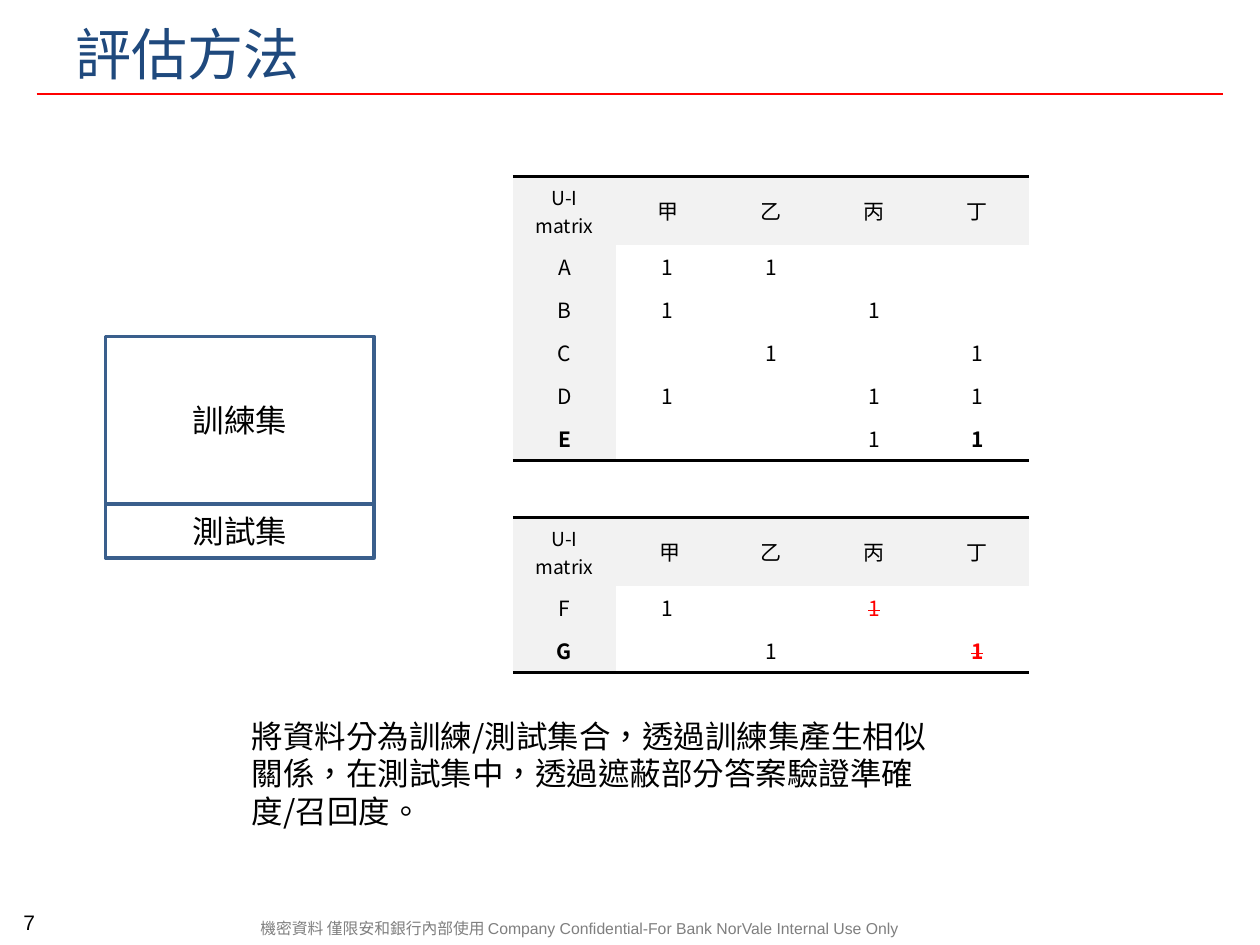
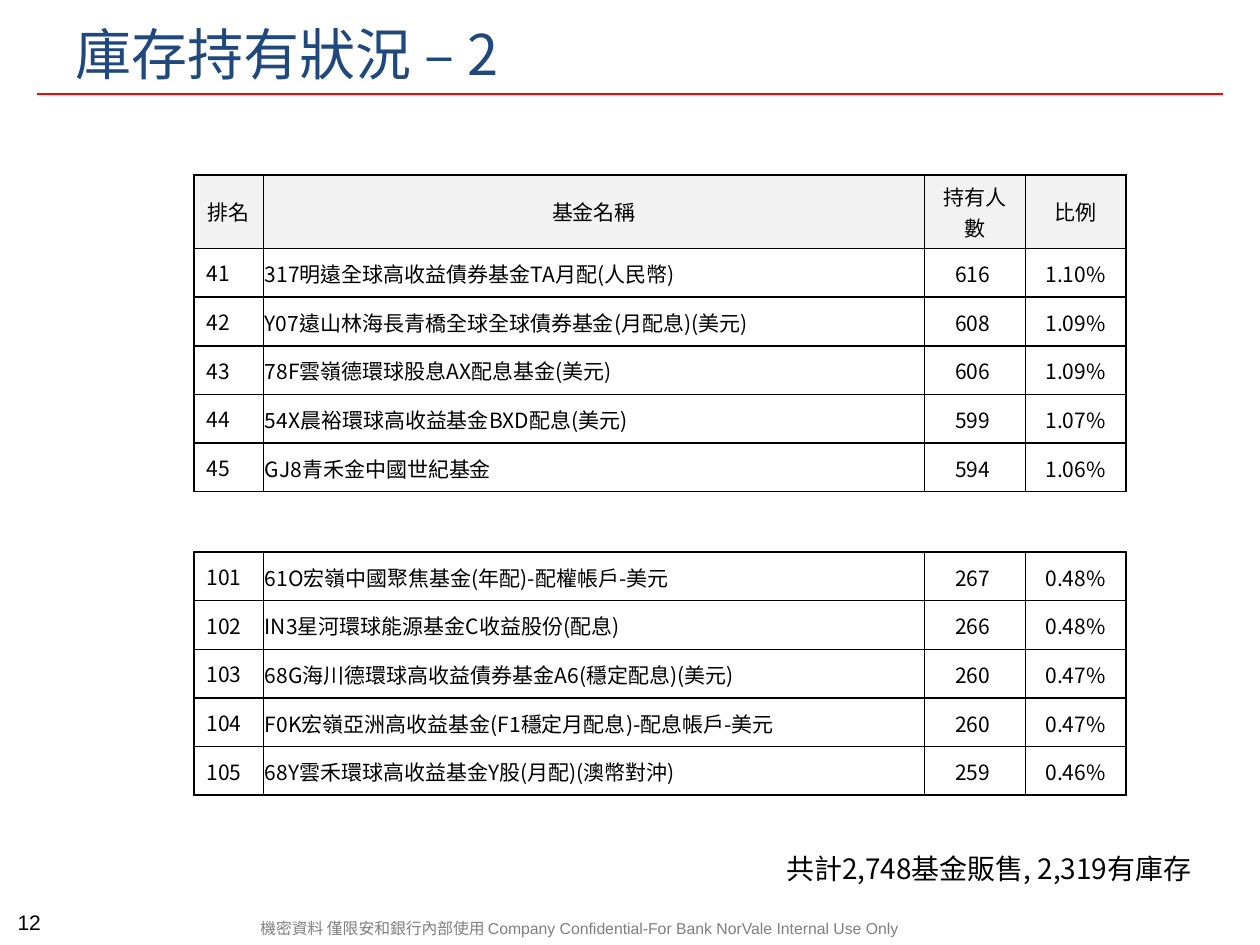
from lxml.etree import SubElement as Sub
from pptx import Presentation
from pptx.dml.color import RGBColor
from pptx.enum.shapes import MSO_CONNECTOR as Link, MSO_SHAPE as Kind
from pptx.enum.text import MSO_ANCHOR as Anchor, MSO_AUTO_SIZE as Auto, PP_ALIGN as Align
from pptx.oxml.ns import qn
from pptx.util import Cm, Pt

BLACK = RGBColor(0x00, 0x00, 0x00)
WHITE = RGBColor(0xFF, 0xFF, 0xFF)
RED = RGBColor(0xFF, 0x00, 0x00)
NAVY = RGBColor(0x1F, 0x49, 0x7D)
BLUE = RGBColor(0x3A, 0x5F, 0x8C)
GREY = RGBColor(0x7F, 0x7F, 0x7F)
PALE = RGBColor(0xF2, 0xF2, 0xF2)
SANS = "Noto Sans CJK SC"
PLAIN = "{2D5ABB26-0587-4C30-8999-92F81FD0307C}"
NOTE = "機密資料 僅限安和銀行內部使用 Company Confidential-For Bank NorVale Internal Use Only"


def write(frame, text, size, color=BLACK, align=Align.LEFT, name=SANS, space=None):
    para = frame.paragraphs[0]
    for key, val in {"alignment": align, "line_spacing": space}.items():
        setattr(para, key, val)
    if not text:
        Sub(para._p, qn("a:endParaRPr"), sz=str(size * 100))
        return
    run = para.add_run()
    run.text = text
    for key, val in {"size": Pt(size), "name": name}.items():
        setattr(run.font, key, val)
    run.font.color.rgb = color
    props = run.font._element
    props.set("lang", "zh-TW")
    Sub(props, qn("a:ea"), typeface=SANS)


def grid(slide, rows, spot, cols, highs, boxed, head):
    frame = slide.shapes.add_table(len(rows), len(cols), *map(Cm, spot),
                                   Cm(sum(cols)), Cm(sum(highs)))
    table = frame.table
    table._tbl.tblPr.find(qn("a:tableStyleId")).text = PLAIN
    for flag in ("first_row", "horz_banding"):
        setattr(table, flag, False)
    for col, wide in zip(table.columns, cols):
        col.width = Cm(wide)
    for row, high in zip(table.rows, highs):
        row.height = Cm(high)
    for r, row in enumerate(rows):
        for c, text in enumerate(row):
            cell = table.cell(r, c)
            top = head and r == 0
            cell.vertical_anchor = Anchor.MIDDLE
            edges = {"lnL": boxed, "lnR": boxed, "lnT": boxed or r == 0,
                     "lnB": boxed or r == len(rows) - 1}
            for tag, shown in edges.items():
                if shown:
                    edge = Sub(cell._tc.get_or_add_tcPr(), qn("a:" + tag),
                               w=str(Pt(1 if boxed else 2)))
                    Sub(Sub(edge, qn("a:solidFill")), qn("a:srgbClr"), val=str(BLACK))
            if boxed and not top:
                cell.fill.background()
            else:
                cell.fill.solid()
                cell.fill.fore_color.rgb = PALE if top or c == 0 else WHITE
            if boxed and c and not top:
                for side in ("left", "right", "top"):
                    setattr(cell, "margin_" + side, Cm(0.03))
                cell.margin_bottom = 0
            left = boxed and not top and c < 2
            write(cell.text_frame, text, 11 if text == "U-I matrix" else 12,
                  align=Align.LEFT if left else Align.CENTER)
    return table


deck = Presentation()
deck.slide_width, deck.slide_height = Cm(25.4), Cm(19.05)

pages = [
    ("評估方法", "7",
     "將資料分為訓練/測試集合，透過訓練集產生相似關係，在測試集中，透過遮蔽部分答案驗證準確度/召回度。",
     (4.83, 14.33, 14.68, 2.57), 18, 21.5),
    ("庫存持有狀況 – 2", "12", "共計2,748基金販售, 2,319有庫存",
     (15.6, 17.04, 9.8, 0.94), 16, None),
]
for head, page, body, spot, size, space in pages:
    slide = deck.slides.add_slide(deck.slide_layouts[5])
    title = slide.shapes.title
    place = {"left": 1.27, "top": 0.33, "width": 22.86, "height": 1.47}
    for key, val in place.items():
        setattr(title, key, Cm(val))
    title.text_frame.auto_size = Auto.NONE
    title.text_frame.vertical_anchor = Anchor.MIDDLE
    write(title.text_frame, head, 32, NAVY)

    rule = slide.shapes.add_connector(Link.STRAIGHT, Cm(0.74), Cm(1.9), Cm(24.66), Cm(1.9))
    rule.line.color.rgb = RED
    rule.line.width = Pt(1.25)
    Sub(rule._element.spPr, qn("a:effectLst"))

    texts = [
        ((5, 18.42, 14.48, 0.61), Anchor.MIDDLE, NOTE,
         {"size": 9, "color": GREY, "name": "Arial", "space": Pt(10)}),
        ((0.03, 18.34, 1.12, 0.63), Anchor.BOTTOM, page,
         {"size": 12, "align": Align.CENTER, "name": "Arial", "space": Pt(10.2)}),
        (spot, Anchor.TOP if space else Anchor.MIDDLE, body,
         {"size": size, "space": Pt(space) if space else None}),
    ]
    for where, anchor, text, form in texts:
        frame = slide.shapes.add_textbox(*map(Cm, where)).text_frame
        for key, val in {"word_wrap": True, "vertical_anchor": anchor}.items():
            setattr(frame, key, val)
        write(frame, text, **form)

split, funds = deck.slides

for text, top, high in (("訓練集", 6.78, 3.38), ("測試集", 10.16, 1.09)):
    box = split.shapes.add_shape(Kind.RECTANGLE, Cm(2.13), Cm(top), Cm(5.41), Cm(high))
    box.shadow.inherit = False
    box.fill.background()
    box.line.color.rgb = BLUE
    box.line.width = Pt(2)
    box.text_frame.vertical_anchor = Anchor.MIDDLE
    write(box.text_frame, text, 18, align=Align.CENTER)

train = [
    ("U-I matrix", "甲", "乙", "丙", "丁"),
    ("A", "1", "1", "", ""),
    ("B", "1", "", "1", ""),
    ("C", "", "1", "", "1"),
    ("D", "1", "", "1", "1"),
    ("E", "", "", "1", "1"),
]
test = [
    ("U-I matrix", " 甲", "乙", "丙", "丁"),
    ("F", "1", "", "1", ""),
    ("G", "", "1", "", "1"),
]
for rows, top, masked in ((train, 3.56, ()), (test, 10.44, ((1, 3), (2, 4)))):
    table = grid(split, rows, (10.34, top), [2.08] * 5,
                 [1.37] + [0.87] * (len(rows) - 1), False, True)
    for col in (0, 4):
        table.cell(len(rows) - 1, col).text_frame.paragraphs[0].runs[0].font.bold = True
    for spot in masked:
        font = table.cell(*spot).text_frame.paragraphs[0].runs[0].font
        font.color.rgb = RED
        font._element.set("strike", "sngStrike")

upper = [
    ("排名", "基金名稱", "持有人數", "比例"),
    ("41", "317明遠全球高收益債券基金TA月配(人民幣)", "616 ", "1.10%"),
    ("42", "Y07遠山林海長青橋全球全球債券基金(月配息)(美元)", "608 ", "1.09%"),
    ("43", "78F雲嶺德環球股息AX配息基金(美元)", "606 ", "1.09%"),
    ("44", "54X晨裕環球高收益基金BXD配息(美元)", "599 ", "1.07%"),
    ("45", "GJ8青禾金中國世紀基金", "594 ", "1.06%"),
]
lower = [
    ("101", "61O宏嶺中國聚焦基金(年配)-配權帳戶-美元", "267 ", "0.48%"),
    ("102", "IN3星河環球能源基金C收益股份(配息)", "266 ", "0.48%"),
    ("103", "68G海川德環球高收益債券基金A6(穩定配息)(美元)", "260 ", "0.47%"),
    ("104", "F0K宏嶺亞洲高收益基金(F1穩定月配息)-配息帳戶-美元", "260 ", "0.47%"),
    ("105", "68Y雲禾環球高收益基金Y股(月配)(澳幣對沖)", "259 ", "0.46%"),
]
for rows, top, first in ((upper, 3.53, 1.48), (lower, 11.13, 0.98)):
    grid(funds, rows, (3.91, top), [1.4, 13.33, 2.03, 2.03],
         [first] + [0.98] * (len(rows) - 1), True, rows is upper)

deck.save("out.pptx")
